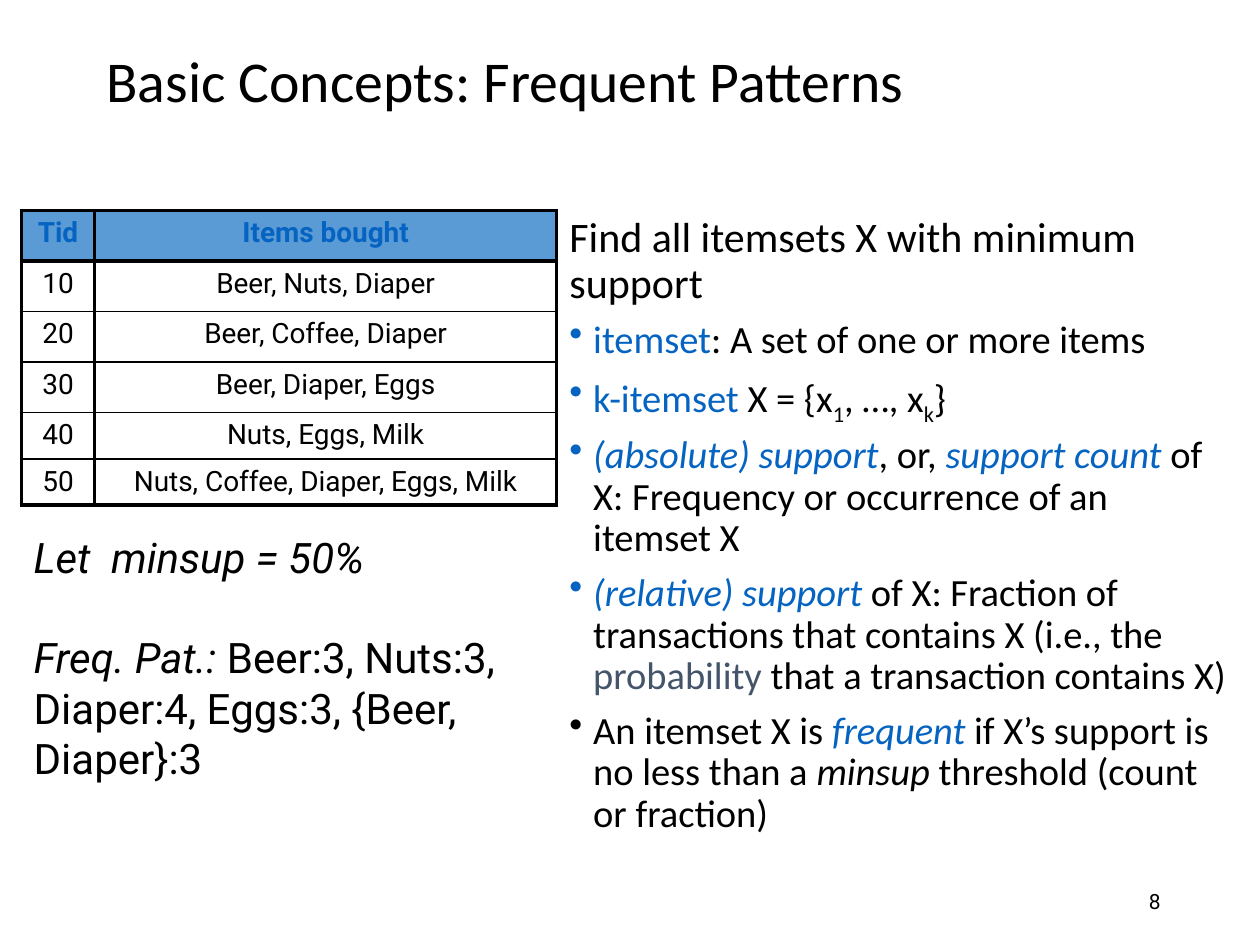
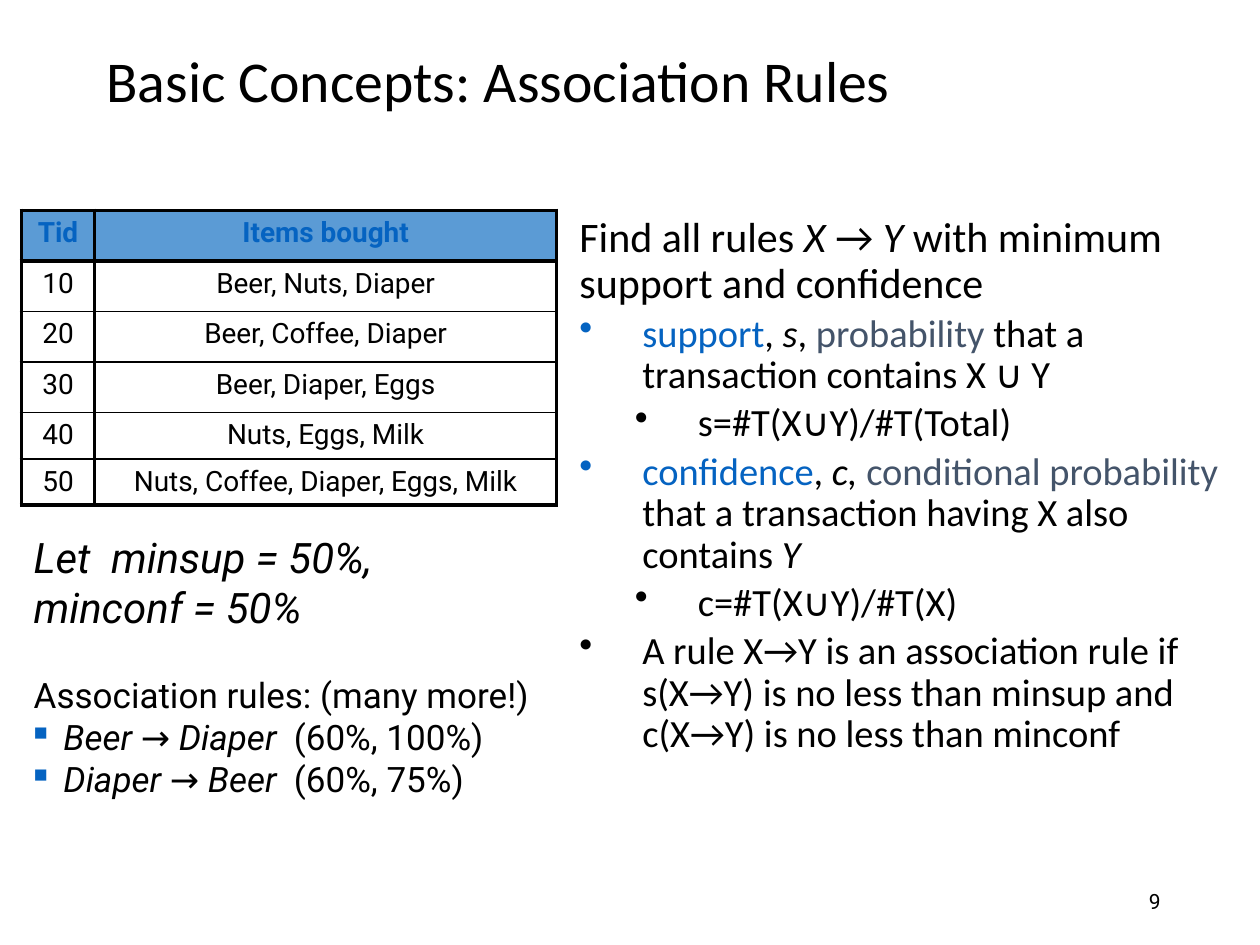
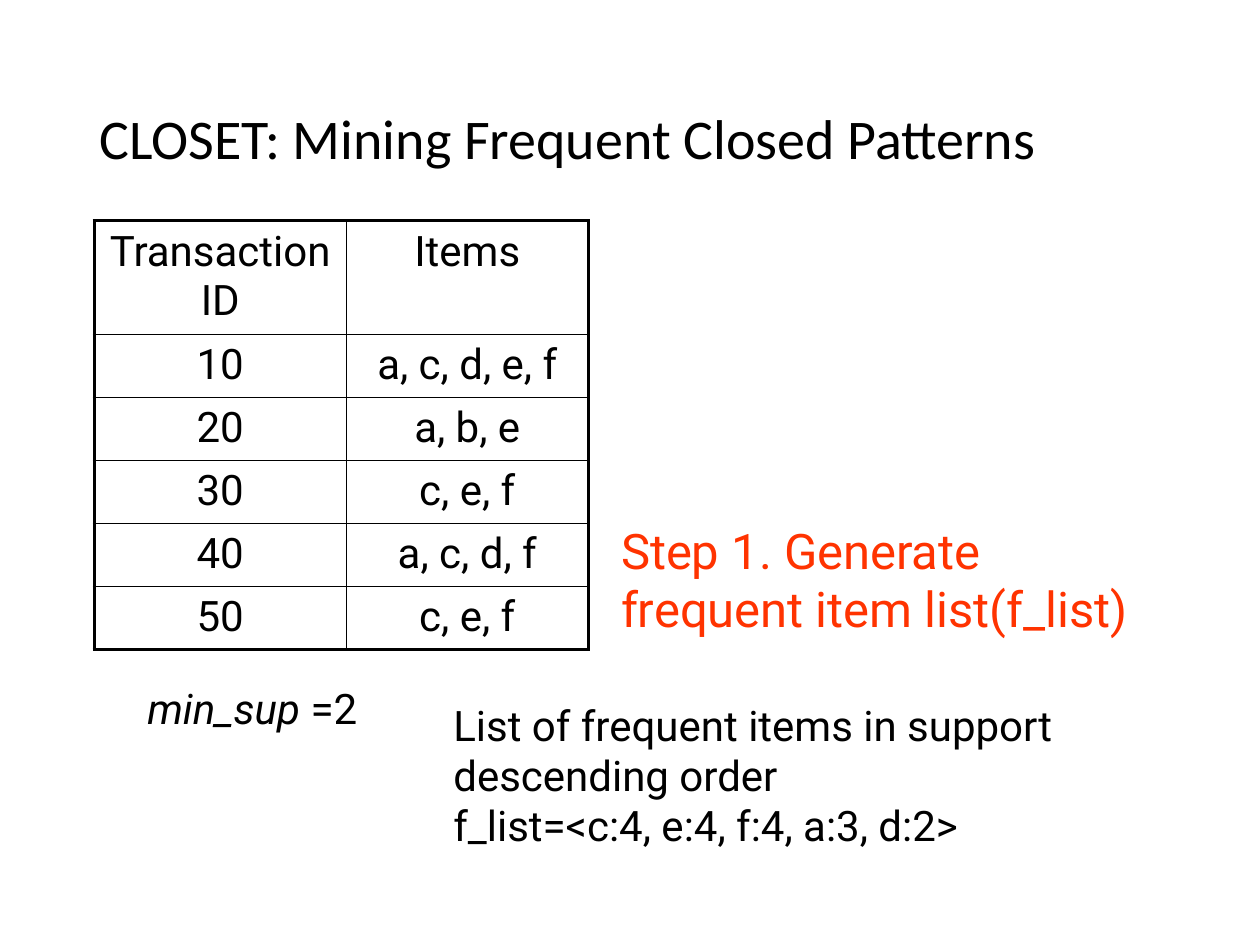
from lxml import etree
from pptx import Presentation
from pptx.dml.color import RGBColor
from pptx.enum.text import MSO_ANCHOR, MSO_AUTO_SIZE, PP_ALIGN
from pptx.oxml.ns import qn
from pptx.util import Cm, Pt

BLACK = RGBColor(0x00, 0x00, 0x00)
BLUE = RGBColor(0x05, 0x63, 0xC1)
SLATE = RGBColor(0x44, 0x54, 0x6A)
HEADER_BLUE = RGBColor(0x5B, 0x9B, 0xD5)
RED = RGBColor(0xFF, 0x33, 0x00)

CENTER, RIGHT = PP_ALIGN.CENTER, PP_ALIGN.RIGHT
TOP, MIDDLE = MSO_ANCHOR.TOP, MSO_ANCHOR.MIDDLE
FIXED, GROW = MSO_AUTO_SIZE.NONE, MSO_AUTO_SIZE.SHAPE_TO_FIT_TEXT

HEADING_FONT, PLAIN_FONT = "Calibri", "Roboto"
THICK, THIN = Pt(2.25), Pt(1)
TITLE_AREA = (1.9, 0.64, 22.22, 2.11)

ITALIC = {"italic": True}
KEY = {"color": BLUE}
KEY_ITALIC = {"color": BLUE, "italic": True}
TERM = {"color": SLATE}
SUBSCRIPT = {"baseline": -25}

LEAD = {"size": 24, "line_spacing": 0.9}
POINT = {"size": 22, "line_spacing": 0.9, "space_before": Pt(7.5), "bullet": "•", "left": 0.48, "hang": 0.48}
RULE = {**POINT, "space_before": Pt(3.8), "level": 1, "left": 2.54, "hang": 1.27}
FORMULA = {**RULE, "level": 2, "left": 3.66}
NOTE = {"size": 24}
SMALL_NOTE = {"size": 20, "line_spacing": 0.8, "space_before": Pt(4.7)}
SQUARE_NOTE = {**SMALL_NOTE, "bullet": "■", "bullet_color": BLUE, "bullet_size": 55, "left": 0.6, "hang": 0.6}

PURCHASES = [
    ("Tid", "Items bought"),
    ("10", "Beer, Nuts, Diaper"),
    ("20", "Beer, Coffee, Diaper"),
    ("30", "Beer, Diaper, Eggs"),
    ("40", "Nuts, Eggs, Milk"),
    ("50", "Nuts, Coffee, Diaper, Eggs, Milk"),
]
TRANSACTIONS = [
    ("Transaction ID", "Items"),
    ("10", "a, c, d, e, f"),
    ("20", "a, b, e"),
    ("30", "c, e, f"),
    ("40", "a, c, d, f"),
    ("50", "c, e, f"),
]


def apply(target, values):
    for name, value in values.items():
        setattr(target, name, value)


class Lecture:
    def __init__(self):
        self.deck = Presentation()
        apply(self.deck, {"slide_width": Cm(25.4), "slide_height": Cm(19.05)})
        self.page = None

    def new_page(self):
        self.page = self.deck.slides.add_slide(self.deck.slide_layouts[6])

    def paragraph(self, para, spans, font, style):
        apply(para, {name: style[name] for name in
                     ("alignment", "level", "line_spacing", "space_before") if name in style})
        for text, look in spans:
            span = para.add_run()
            span.text = text
            apply(span.font, {"name": font, "size": Pt(style["size"]),
                              "bold": style.get("bold", False), "italic": look.get("italic", False)})
            span.font.color.rgb = look.get("color", style.get("color", BLACK))
            if "baseline" in look:
                span.font._element.set("baseline", str(look["baseline"] * 1000))
        properties = para._p.get_or_add_pPr()
        properties.set("marL", str(Cm(style.get("left", 0))))
        properties.set("indent", str(-Cm(style.get("hang", 0))))
        if "bullet_color" in style:
            color = etree.SubElement(properties, qn("a:buClr"))
            etree.SubElement(color, qn("a:srgbClr"), val=str(style["bullet_color"]))
        if "bullet_size" in style:
            etree.SubElement(properties, qn("a:buSzPct"), val=str(style["bullet_size"] * 1000))
        if "bullet" in style:
            etree.SubElement(properties, qn("a:buChar"), char=style["bullet"])

    def text(self, area, paragraphs, font=PLAIN_FONT, anchor=TOP, fit=GROW, wrap=True):
        box = self.page.shapes.add_textbox(*map(Cm, area))
        frame = box.text_frame
        apply(frame, {"word_wrap": wrap, "auto_size": fit, "vertical_anchor": anchor})
        for index, (style, *spans) in enumerate(paragraphs):
            para = frame.add_paragraph() if index else frame.paragraphs[0]
            spans = [(span, {}) if isinstance(span, str) else span for span in spans]
            self.paragraph(para, spans, font, style)

    def title(self, text, area=TITLE_AREA, size=33):
        self.text(area, [({"size": size, "line_spacing": 0.9}, text)], HEADING_FONT, MIDDLE, FIXED)

    def body(self, left, width, paragraphs):
        self.text((left, 4.24, width, 13.77), paragraphs, HEADING_FONT, fit=FIXED)

    def page_number(self, number):
        self.text((17.93, 17.65, 5.72, 1.02), [({"size": 12, "alignment": RIGHT}, str(number))],
                  anchor=MIDDLE, fit=FIXED)

    def borders(self, cell, widths):
        properties = cell._tc.get_or_add_tcPr()
        for index, (side, width) in enumerate(zip("LRTB", widths)):
            line = etree.Element(qn(f"a:ln{side}"), w=str(width))
            fill = etree.SubElement(line, qn("a:solidFill"))
            etree.SubElement(fill, qn("a:srgbClr"), val=str(BLACK))
            properties.insert(index, line)

    def table(self, left, top, widths, heights, rows, size, accented=False):
        area = (left, top, sum(widths), sum(heights))
        table = self.page.shapes.add_table(len(rows), len(widths), *map(Cm, area)).table
        apply(table, {"first_row": False, "horz_banding": False})
        for column, width in zip(table.columns, widths):
            column.width = Cm(width)
        for row, height in zip(table.rows, heights):
            row.height = Cm(height)
        verticals = [THICK, THICK if accented else THIN, THICK]
        horizontals = [THICK, THICK if accented else THIN] + [THIN] * (len(rows) - 2) + [THICK]
        for r, values in enumerate(rows):
            for c, value in enumerate(values):
                cell = table.cell(r, c)
                style = {"size": size, "alignment": CENTER}
                if accented and r == 0:
                    style.update(bold=True, color=BLUE)
                    cell.fill.solid()
                    cell.fill.fore_color.rgb = HEADER_BLUE
                else:
                    cell.fill.background()
                self.paragraph(cell.text_frame.paragraphs[0], [(value, {})], PLAIN_FONT, style)
                self.borders(cell, verticals[c:c + 2] + horizontals[r:r + 2])

    def purchases(self):
        self.table(0.43, 4.24, [1.48, 9.31], [1.02] * 4 + [0.93] * 2, PURCHASES, 16, accented=True)


lecture = Lecture()

lecture.new_page()
lecture.title("Basic Concepts: Frequent Patterns")
lecture.body(11.23, 13.77, [
    (LEAD, "Find all itemsets X with minimum support"),
    (POINT, ("itemset", KEY), ": A set of one or more items"),
    (POINT, ("k-itemset", KEY), " X = {x", ("1", SUBSCRIPT), ", …, x", ("k", SUBSCRIPT), "}"),
    (POINT, ("(absolute) support", KEY_ITALIC), ", or, ", ("support count", KEY_ITALIC),
     " of X: Frequency or occurrence of an itemset X"),
    (POINT, ("(relative) support", KEY_ITALIC), " of X: Fraction of transactions that contains X (i.e., the ",
     ("probability", TERM), " that a transaction contains X)"),
    (POINT, "An itemset X is ", ("frequent", KEY_ITALIC), " if X’s support is no less than a ",
     ("minsup", ITALIC), " threshold (count or fraction)"),
])
lecture.page_number(8)
lecture.purchases()
lecture.text((0.43, 10.59, 11, 5.38), [
    (NOTE, ("Let  minsup = 50%", ITALIC)),
    ({**NOTE, "space_before": Pt(28.5)}, ("Freq. Pat.: ", ITALIC),
     "Beer:3, Nuts:3, Diaper:4, Eggs:3, {Beer, Diaper}:3"),
])

lecture.new_page()
lecture.title("Basic Concepts: Association Rules")
lecture.body(10.16, 14.81, [
    ({**LEAD, "left": 1.27}, "Find all rules ", ("X ", ITALIC), "→ ", ("Y ", ITALIC),
     "with minimum support and confidence"),
    (RULE, ("support", KEY), ", ", ("s", ITALIC), ", ", ("probability", TERM),
     " that a transaction contains X ∪ Y"),
    (FORMULA, "s=#T(X∪Y)/#T(Total)"),
    (RULE, ("confidence", KEY), ", ", ("c, ", ITALIC), ("conditional probability", TERM),
     " that a transaction having X also contains ", ("Y", ITALIC)),
    (FORMULA, "c=#T(X∪Y)/#T(X)"),
    (RULE, "A rule X→Y is an association rule if s(X→Y) is no less than minsup "
           "and c(X→Y) is no less than minconf"),
])
lecture.page_number(9)
lecture.purchases()
lecture.text((0.43, 10.59, 11, 5.77), [
    (NOTE, ("Let  minsup = 50%,", ITALIC)),
    (NOTE, ("minconf = 50%", ITALIC)),
    ({**SMALL_NOTE, "space_before": Pt(28.1)}, "Association rules: (many more!)"),
    (SQUARE_NOTE, ("Beer ", ITALIC), "→", (" Diaper  ", ITALIC), "(60%, 100%)"),
    (SQUARE_NOTE, ("Diaper ", ITALIC), "→", (" Beer  ", ITALIC), "(60%, 75%)"),
])

lecture.new_page()
lecture.title("CLOSET: Mining Frequent Closed Patterns", (1.75, 1.02, 21.89, 3.68), 32)
lecture.table(1.9, 4.45, [5.08, 4.88], [2.29] + [1.27] * 5, TRANSACTIONS, 24)
lecture.text((2.72, 13.64, 5, 1.27), [(NOTE, ("min_sup", ITALIC), " =2")], wrap=False)
lecture.text((12.27, 10.36, 11.63, 2.64), [
    ({"size": 28, "color": RED}, "Step 1. Generate frequent item list(f_list)"),
])
lecture.text((8.89, 13.97, 15.44, 3.3), [
    (NOTE, "List of frequent items in support descending order"),
    (NOTE, "f_list=<c:4, e:4, f:4, a:3, d:2>"),
])

lecture.deck.save("out.pptx")
